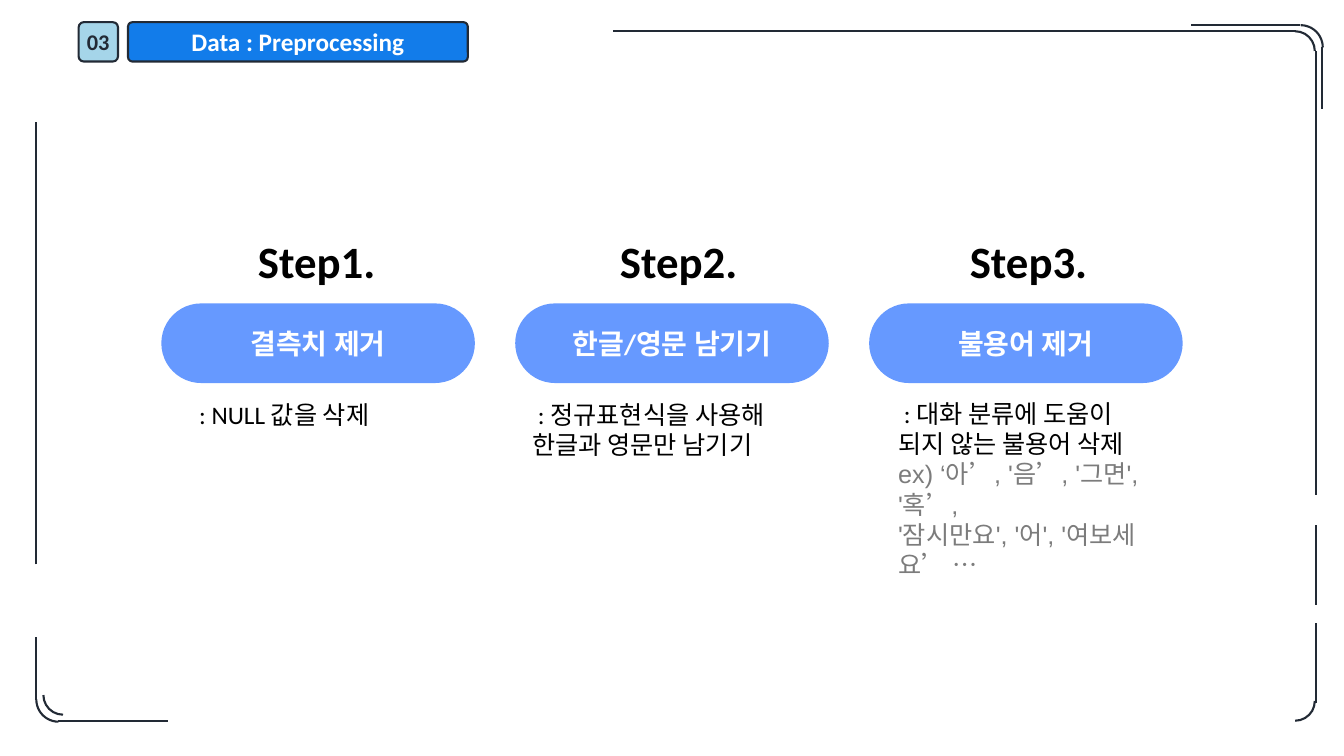
from dataclasses import dataclass

from lxml import etree
from pptx import Presentation, util as u
from pptx.dml.color import RGBColor
from pptx.enum import shapes, text
from pptx.oxml.ns import qn

EMU_PER_PX = 9144  # 100 px to the inch


@dataclass(frozen=True)
class Theme:
    ink: str = "222A35"
    title: str = "127CEA"
    badge: str = "A5D5E9"
    pill: str = "6699FF"
    white: str = "FFFFFF"
    body: str = "000000"
    example: str = "7C7C7C"
    font: str = "Calibri"
    example_font: str = "Arial"
    step_size: int = 32
    pill_size: int = 20
    title_size: int = 18
    body_size: int = 18
    badge_size: int = 16
    line: float = 1.5


THEME = Theme()
SLIDE = (1333, 750)

SECTION = "03"
TITLE = "Data : Preprocessing"
# label, label left, pill text, notes, examples, notes box (left, top, width, height), wraps
STEPS = [
    ("Step1.", 246, "결측치 제거", [" : NULL 값을 삭제"], [],
     (182, 391, 205, 40), False),
    ("Step2.", 605, "한글/영문 남기기",
     [" : 정규표현식을 사용해", "한글과 영문만 남기기"], [],
     (518, 391, 295, 71), True),
    ("Step3.", 952, "불용어 제거",
     [" : 대화 분류에 도움이 되지 않는 불용어 삭제"],
     ["ex) ‘아’, '음’, '그면', '혹’, ", "'잠시만요', '어', '여보세요’ …"],
     (881, 390, 279, 192), True),
]
PILL_LEFT, PILL_TOP, PILL_W, PILL_H, PILL_PITCH = 160, 301, 311, 79, 351
LABEL_TOP, LABEL_W, LABEL_H = 227, 138, 64

# x1, y1, x2, y2
FRAME_LINES = [
    (1285, 31, 608, 31), (1305, 491, 1305, 51),
    (1289, 25, 1181, 25), (1311, 108, 1311, 47),
    (1305, 600, 1305, 521), (1305, 697, 1305, 618),
    (58, 715, 167, 715), (36, 632, 36, 694), (36, 560, 36, 121),
]
# left, top, size, rotation
FRAME_CORNERS = [
    (1265, 31, 39, 0), (1268, 25, 44, 0), (1265, 676, 39, 90),
    (43, 670, 39, 180), (36, 672, 44, 180),
]


def px(*lengths):
    return [u.Emu(length * EMU_PER_PX) for length in lengths]


def color(name):
    return RGBColor.from_string(name)


def outline(part):
    part.line.color.rgb = color(THEME.ink)
    part.line.width = u.Pt(THEME.line)


def write(frame, lines, size, bold=False, align=text.PP_ALIGN.LEFT, wrap=True):
    """Fill a text frame with (text, font, colour) lines."""
    frame.word_wrap = wrap
    for i, (words, font, shade) in enumerate(lines):
        paragraph = frame.paragraphs[0] if i == 0 else frame.add_paragraph()
        paragraph.text = words
        paragraph.alignment = align
        for run in paragraph.runs:
            run.font.name = font
            run.font.size = u.Pt(size)
            run.font.bold = bold
            run.font.color.rgb = color(shade)


def add_frame(slide):
    for ends in FRAME_LINES:
        edge = slide.shapes.add_connector(shapes.MSO_CONNECTOR.STRAIGHT, *px(*ends))
        outline(edge)
        etree.SubElement(edge._element.spPr, qn("a:effectLst"))
    for left, top, size, rotation in FRAME_CORNERS:
        corner = slide.shapes.add_shape(
            shapes.MSO_SHAPE.ARC, *px(left, top, size, size))
        corner.rotation = rotation
        corner.shadow.inherit = False
        corner.fill.background()
        outline(corner)


def add_rounded(slide, box, radius, fill, words, size, ink, outlined=False, wrap=True):
    rounded = slide.shapes.add_shape(shapes.MSO_SHAPE.ROUNDED_RECTANGLE, *px(*box))
    rounded.adjustments[0] = radius
    rounded.shadow.inherit = False
    rounded.fill.solid()
    rounded.fill.fore_color.rgb = color(fill)
    if outlined:
        outline(rounded)
    else:
        rounded.line.fill.background()
    rounded.text_frame.vertical_anchor = text.MSO_ANCHOR.MIDDLE
    write(rounded.text_frame, [(words, THEME.font, ink)], size, True,
          text.PP_ALIGN.CENTER, wrap)


def add_text(slide, box, lines, size, bold=False, wrap=True):
    frame = slide.shapes.add_textbox(*px(*box)).text_frame
    frame.auto_size = text.MSO_AUTO_SIZE.SHAPE_TO_FIT_TEXT
    write(frame, lines, size, bold, wrap=wrap)


def add_step(slide, index, step):
    label, label_left, action, notes, examples, notes_box, wraps = step
    pill = (PILL_LEFT + index * PILL_PITCH, PILL_TOP, PILL_W, PILL_H)
    add_rounded(slide, pill, 0.5, THEME.pill, action, THEME.pill_size, THEME.white)
    lines = [(note, THEME.font, THEME.body) for note in notes]
    lines += [(words, THEME.example_font, THEME.example) for words in examples]
    add_text(slide, notes_box, lines, THEME.body_size, wrap=wraps)
    add_text(slide, (label_left, LABEL_TOP, LABEL_W, LABEL_H),
             [(label, THEME.font, THEME.body)], THEME.step_size, True, False)


def main():
    deck = Presentation()
    deck.slide_width, deck.slide_height = px(*SLIDE)
    slide = deck.slides.add_slide(deck.slide_layouts[6])
    add_frame(slide)
    add_rounded(slide, (127, 22, 337, 39), 0.11, THEME.title, TITLE,
                THEME.title_size, THEME.white, outlined=True)
    add_rounded(slide, (78, 22, 39, 39), 0.13, THEME.badge, SECTION,
                THEME.badge_size, THEME.ink, outlined=True, wrap=False)
    for index, step in enumerate(STEPS):
        add_step(slide, index, step)
    deck.save("out.pptx")


if __name__ == "__main__":
    main()
